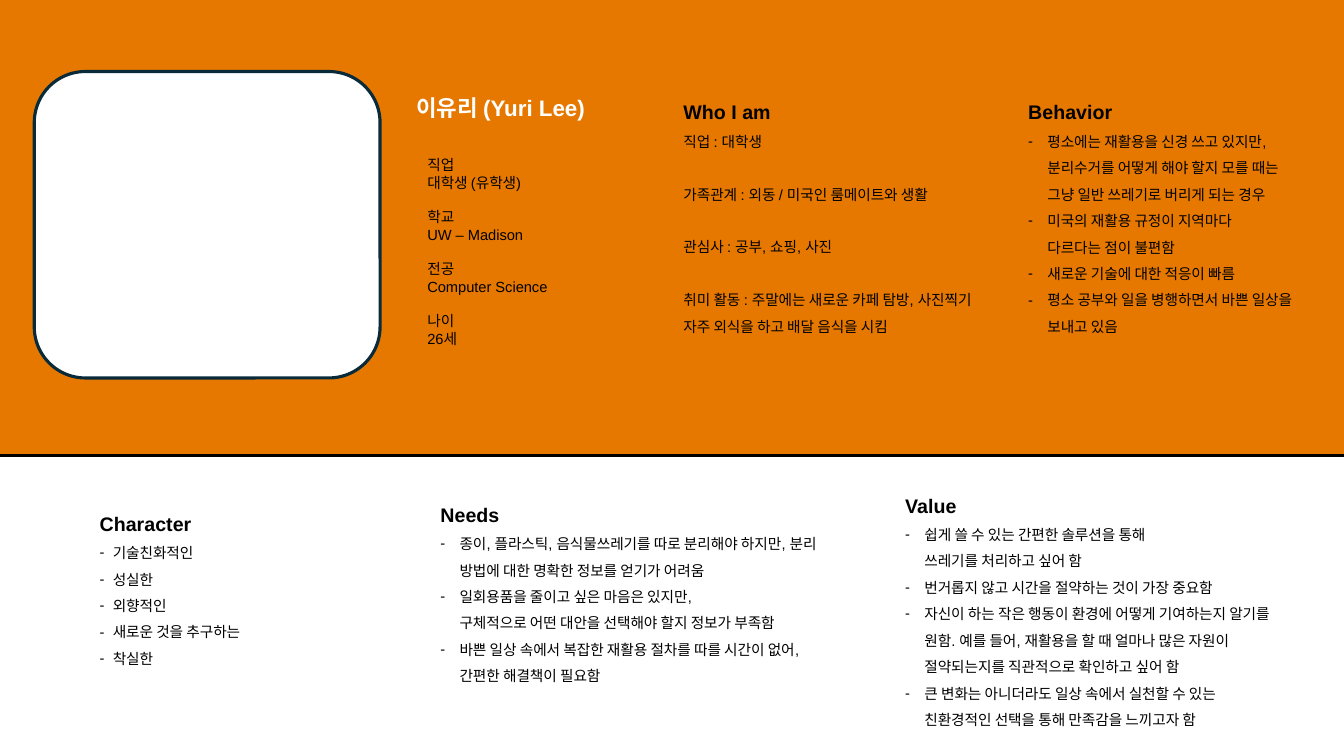
import pptx
import pptx.dml.color
import pptx.enum.shapes
import pptx.enum.text
import pptx.util
from lxml import etree
from pptx.oxml.ns import qn

Inches = pptx.util.Inches
Pt = pptx.util.Pt
RGBColor = pptx.dml.color.RGBColor
Shapes = pptx.enum.shapes.MSO_SHAPE

ORANGE = RGBColor(0xE6, 0x78, 0x00)
NAVY = RGBColor(0x09, 0x2A, 0x39)
WHITE = RGBColor(0xFF, 0xFF, 0xFF)
BLACK = RGBColor(0x00, 0x00, 0x00)

TITLE_FONT = {"name": "Arial", "size": Pt(16), "bold": True}
HEADING_FONT = {"name": "Arial", "size": Pt(14), "bold": True}
BODY_FONT = {"name": "Arial", "size": Pt(10.5), "bold": False}

PROFILE = [
    ("직업", "대학생 (유학생)"),
    ("학교", "UW – Madison"),
    ("전공", "Computer Science"),
    ("나이", "26세"),
]
WHO_I_AM = [
    "직업 : 대학생",
    "가족관계 : 외동 / 미국인 룸메이트와 생활",
    "관심사 : 공부, 쇼핑, 사진",
    "취미 활동 : 주말에는 새로운 카페 탐방, 사진찍기",
    "자주 외식을 하고 배달 음식을 시킴",
]
BULLET_SECTIONS = [
    ("Behavior", (10.1, 0.83, 3.07, 2.81), 0.19, [
        "- 평소에는 재활용을 신경 쓰고 있지만,",
        "분리수거를 어떻게 해야 할지 모를 때는",
        "그냥 일반 쓰레기로 버리게 되는 경우",
        "- 미국의 재활용 규정이 지역마다",
        "다르다는 점이 불편함",
        "- 새로운 기술에 대한 적응이 빠름",
        "- 평소 공부와 일을 병행하면서 바쁜 일상을",
        "보내고 있음",
    ]),
    ("Character", (0.89, 4.91, 1.99, 1.76), 0.13, [
        "- 기술친화적인",
        "- 성실한",
        "- 외향적인",
        "- 새로운 것을 추구하는",
        "- 착실한",
    ]),
    ("Needs", (4.27, 4.82, 4, 2.02), 0.19, [
        "- 종이, 플라스틱, 음식물쓰레기를 따로 분리해야 하지만, "
        "분리 방법에 대한 명확한 정보를 얻기가 어려움",
        "- 일회용품을 줄이고 싶은 마음은 있지만,",
        "구체적으로 어떤 대안을 선택해야 할지 정보가 부족함",
        "- 바쁜 일상 속에서 복잡한 재활용 절차를 따를 시간이 없어,",
        "간편한 해결책이 필요함",
    ]),
    ("Value", (8.88, 4.73, 3.84, 2.81), 0.19, [
        "- 쉽게 쓸 수 있는 간편한 솔루션을 통해",
        "쓰레기를 처리하고 싶어 함",
        "- 번거롭지 않고 시간을 절약하는 것이 가장 중요함",
        "- 자신이 하는 작은 행동이 환경에 어떻게 기여하는지 알기를 원함. "
        "예를 들어, 재활용을 할 때 얼마나 많은 자원이 절약되는지를 "
        "직관적으로 확인하고 싶어 함",
        "- 큰 변화는 아니더라도 일상 속에서 실천할 수 있는",
        "친환경적인 선택을 통해 만족감을 느끼고자 함",
    ]),
]


def apply_format(target, values):
    for name, value in values.items():
        setattr(target, name, value)


def write_paragraph(text_frame, text, font, color=BLACK, **spacing):
    paragraph = text_frame.paragraphs[0]
    if paragraph.runs:
        paragraph = text_frame.add_paragraph()
    run = paragraph.add_run()
    run.text = text
    apply_format(run.font, font)
    run.font.color.rgb = color
    apply_format(paragraph, spacing)
    return paragraph


def set_indent(paragraph, indent, bulleted):
    properties = paragraph._p.get_or_add_pPr()
    properties.set("marL", str(Inches(indent)))
    properties.set("indent", str(-Inches(indent) if bulleted else 0))
    if bulleted:
        etree.SubElement(properties, qn("a:buFont")).set("typeface", "Arial")
        etree.SubElement(properties, qn("a:buChar")).set("char", "-")


def add_text_frame(slide, box):
    text_frame = slide.shapes.add_textbox(*map(Inches, box)).text_frame
    text_frame.word_wrap = True
    return text_frame


def add_panel(slide, kind, box, fill, line_width):
    panel = slide.shapes.add_shape(kind, *map(Inches, box))
    panel.shadow.inherit = False
    panel.fill.solid()
    panel.fill.fore_color.rgb = fill
    panel.line.color.rgb = NAVY
    panel.line.width = Pt(line_width)


def add_divider(slide, left, right, top):
    divider = slide.shapes.add_connector(
        pptx.enum.shapes.MSO_CONNECTOR.STRAIGHT,
        *map(Inches, (left, top, right, top)))
    divider.line.color.rgb = BLACK
    divider.line.width = Pt(2.25)
    etree.SubElement(divider.element.spPr, qn("a:effectLst"))


def place_title(slide, box, text):
    title = slide.shapes.title
    left, top, width, height = map(Inches, box)
    apply_format(title, {"left": left, "top": top, "width": width, "height": height})
    apply_format(title.text_frame, {
        "word_wrap": True,
        "auto_size": pptx.enum.text.MSO_AUTO_SIZE.NONE,
        "vertical_anchor": pptx.enum.text.MSO_ANCHOR.TOP,
    })
    write_paragraph(title.text_frame, text, TITLE_FONT, WHITE,
                    alignment=pptx.enum.text.PP_ALIGN.LEFT)
    title.element.getparent().append(title.element)


def add_profile(slide, box):
    text_frame = add_text_frame(slide, box)
    for index, (label, value) in enumerate(PROFILE):
        write_paragraph(text_frame, label, BODY_FONT,
                        space_before=Pt(12 if index else 0))
        write_paragraph(text_frame, value, BODY_FONT)


def add_introduction(slide, box):
    text_frame = add_text_frame(slide, box)
    write_paragraph(text_frame, "Who I am", HEADING_FONT, line_spacing=1.5)
    for index, text in enumerate(WHO_I_AM):
        gap = Pt(18.8 if index in (1, 2, 3) else 0)
        write_paragraph(text_frame, text, BODY_FONT, line_spacing=1.5, space_before=gap)


def add_bullet_section(slide, heading, box, indent, lines):
    text_frame = add_text_frame(slide, box)
    write_paragraph(text_frame, heading, HEADING_FONT, line_spacing=1.5)
    for line in lines:
        paragraph = write_paragraph(text_frame, line.removeprefix("- "), BODY_FONT,
                                    line_spacing=1.5)
        set_indent(paragraph, indent, line.startswith("- "))


def build_persona_slide(presentation):
    slide = presentation.slides.add_slide(presentation.slide_layouts[5])
    add_panel(slide, Shapes.RECTANGLE, (-0.16, -0.19, 13.67, 4.71), ORANGE, 1.5)
    add_panel(slide, Shapes.ROUNDED_RECTANGLE, (0.34, 0.71, 3.43, 3.04), WHITE, 2.25)
    add_divider(slide, -0.08, 13.42, 4.52)
    place_title(slide, (4.03, 0.88, 2.19, 0.37), "이유리 (Yuri Lee)")
    add_profile(slide, (4.14, 1.5, 2.68, 2.4))
    add_introduction(slide, (6.68, 0.83, 3.15, 2.81))
    for section in BULLET_SECTIONS:
        add_bullet_section(slide, *section)


def main():
    presentation = pptx.Presentation()
    presentation.slide_width = Inches(13.33)
    presentation.slide_height = Inches(7.5)
    build_persona_slide(presentation)
    presentation.save("out.pptx")


if __name__ == "__main__":
    main()
